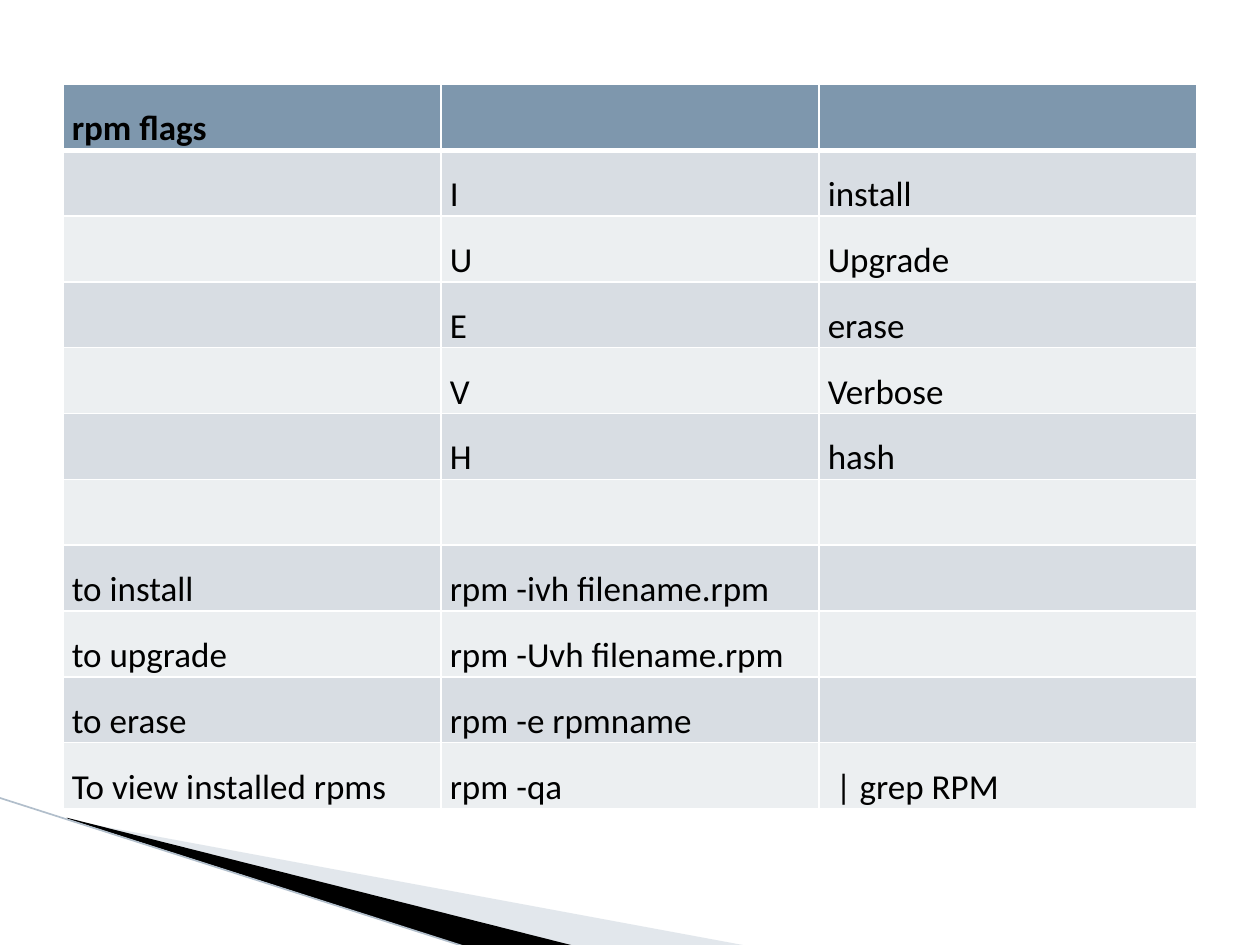
import pptx
import pptx.dml.color
import pptx.enum.shapes
import pptx.enum.text
import pptx.oxml
import pptx.oxml.ns
import pptx.util
from pptx.util import Inches

WHITE, BLACK = "FFFFFF", "000000"
HEADER, BANDS = "7E97AD", ("D8DDE3", "ECEFF1")
ROWS = [
    ("rpm flags", "", ""),
    ("", "I", "install"),
    ("", "U", "Upgrade"),
    ("", "E", "erase"),
    ("", "V", "Verbose"),
    ("", "H", "hash"),
    ("", "", ""),
    ("to install", "rpm -ivh filename.rpm", ""),
    ("to upgrade", "rpm -Uvh filename.rpm", ""),
    ("to erase", "rpm -e rpmname", ""),
    ("To view installed rpms", "rpm -qa", " | grep RPM"),
]


def rgb(value):
    return pptx.dml.color.RGBColor.from_string(value)


def set_attributes(target, values):
    for name, value in values.items():
        setattr(target, name, value)


def paint(fill, color):
    fill.solid()
    fill.fore_color.rgb = rgb(color)


def add_child(parent, tag, **attributes):
    child = pptx.oxml.ns.qn(tag)
    element = parent.makeelement(child, attributes)
    parent.append(element)
    return element


def set_borders(cell, widths):
    properties = cell._tc.get_or_add_tcPr()
    for position, (side, points) in enumerate(widths.items()):
        line = add_child(properties, f"a:{side}", w=str(pptx.util.Pt(points)))
        properties.remove(line)
        properties.insert(position, line)
        add_child(add_child(line, "a:solidFill"), "a:srgbClr", val=WHITE)


def add_wedge(page, left, top, points, color, opacity=100):
    corners = [(Inches(left + x), Inches(top + y)) for x, y in points]
    builder = page.shapes.build_freeform(*corners[0])
    builder.add_line_segments(corners[1:], close=True)
    wedge = builder.convert_to_shape()
    wedge.shadow.inherit = False
    wedge.line.fill.background()
    paint(wedge.fill, color)
    if opacity < 100:
        tint = wedge.fill._xPr.find(".//" + pptx.oxml.ns.qn("a:srgbClr"))
        add_child(tint, "a:alpha", val=str(opacity * 1000))


def add_corner_decoration(page, left, top):
    # Pale and dark wedges
    add_wedge(page, left, top, [(0.02, 0.02), (5.42, 1.02), (4.03, 1.02), (0.02, 0.01)],
              "B7C4D0", opacity=40)
    add_wedge(page, left, top, [(0, 0), (4.04, 1.02), (3.19, 1.03), (0.01, 0.01)], BLACK)
    # Thin edge line
    edge = page.shapes.add_connector(
        pptx.enum.shapes.MSO_CONNECTOR.STRAIGHT,
        Inches(left - 0.54), Inches(top - 0.16), Inches(left + 3.18), Inches(top + 1.03))
    edge.line.color.rgb = rgb("B1BECB")
    edge.line.width = pptx.util.Pt(0.95)
    add_child(edge._element.spPr, "a:effectLst")


def fill_cell(cell, text, color, bold):
    set_attributes(cell, {
        "margin_left": Inches(0.07), "margin_right": Inches(0.07),
        "margin_top": 0, "margin_bottom": 0,
        "vertical_anchor": pptx.enum.text.MSO_ANCHOR.BOTTOM})
    paint(cell.fill, color)
    if text:
        para = cell.text_frame.paragraphs[0]
        para.line_spacing = 1.15
        span = para.add_run()
        span.text = text
        set_attributes(span.font, {"name": "Calibri", "size": pptx.util.Pt(20), "bold": bold})
        span.font.color.rgb = rgb(BLACK)


def add_flag_table(page, left, top, width, height):
    frame = page.shapes.add_table(len(ROWS), len(ROWS[0]), Inches(left), Inches(top),
                                  Inches(width), Inches(height))
    table = frame.table
    table.horz_banding = False
    for row, texts in enumerate(ROWS):
        color = BANDS[(row - 1) % 2] if row else HEADER
        # A thick rule separates the header from the body
        borders = {"lnL": 1, "lnR": 1, "lnT": 3 if row == 1 else 1, "lnB": 1 if row else 3}
        for column, text in enumerate(texts):
            cell = table.cell(row, column)
            fill_cell(cell, text, color, bold=row == 0)
            set_borders(cell, borders)


def main():
    deck = pptx.Presentation()
    set_attributes(deck, {"slide_width": Inches(10), "slide_height": Inches(7.5)})
    page = deck.slides.add_slide(deck.slide_layouts[6])
    paint(page.background.fill, WHITE)
    add_corner_decoration(page, 0.53, 6.49)
    add_flag_table(page, 0.5, 0.67, 9, 5.75)
    deck.save("out.pptx")


if __name__ == "__main__":
    main()
